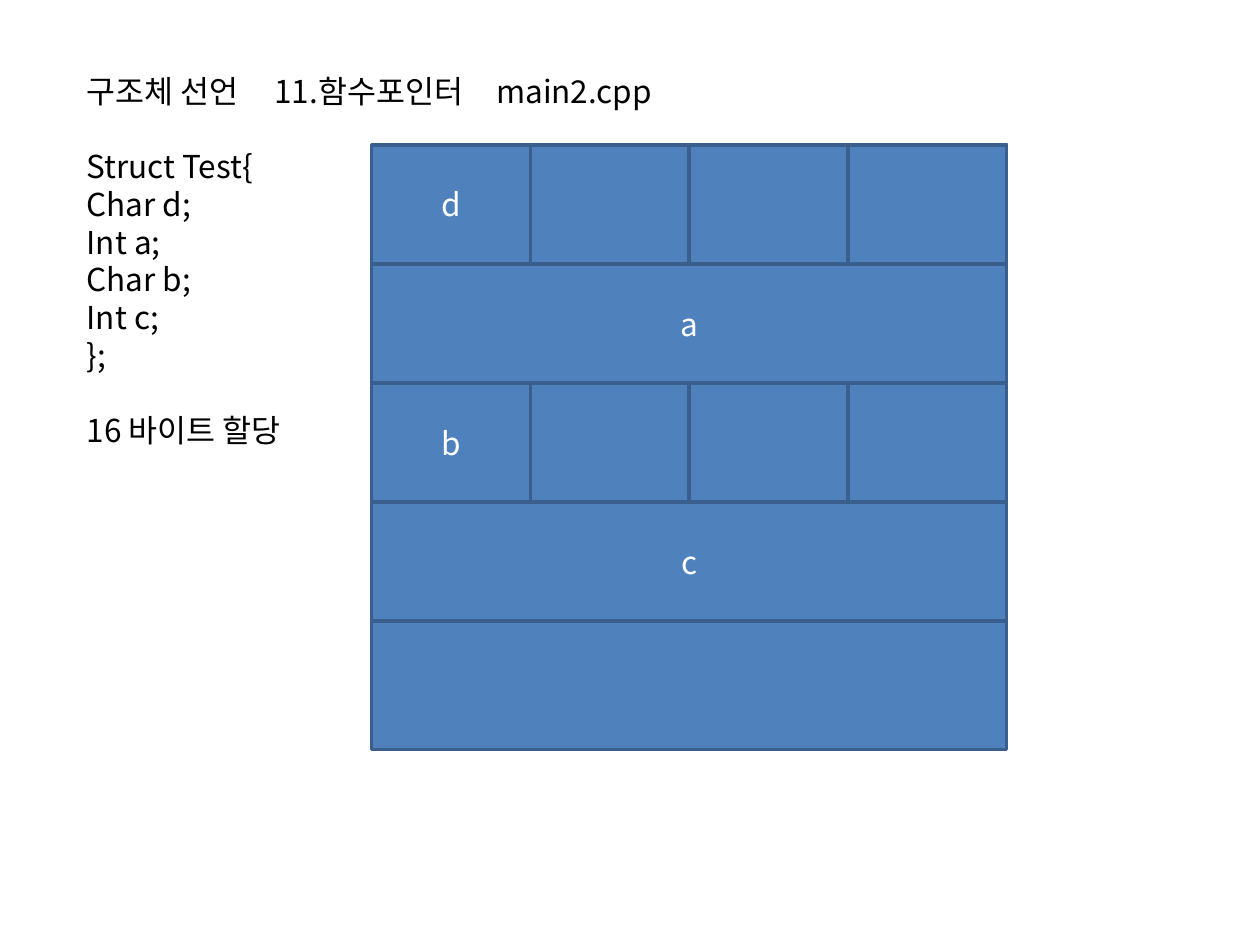
from lxml import etree
from pptx import Presentation, util as u
from pptx.dml.color import RGBColor
from pptx.enum import shapes, text
from pptx.oxml.ns import qn

BLUE = RGBColor(0x4F, 0x81, 0xBD)
EDGE = RGBColor(0x3A, 0x5F, 0x8C)
WHITE = RGBColor(0xFF, 0xFF, 0xFF)
BLACK = RGBColor(0, 0, 0)
FONT = "Noto Sans CJK KR"

# Memory grid: one column per byte, one row per four-byte word
LEFT, TOP, COL, ROW = 2.95, 1.15, 1.26, 0.945
BYTES, GRID_H = 4, 4.8
WORDS = [["d", "", "", ""], ["a"], ["b", "", "", ""], ["c"]]

prs = Presentation()
prs.slide_width, prs.slide_height = u.Inches(10), u.Inches(7.5)
s = prs.slides.add_slide(prs.slide_layouts[6])


def format_runs(p, color):
    for r in p.runs:
        r.font.size = u.Pt(18)
        r.font.name = FONT
        r.font.color.rgb = color
        etree.SubElement(r.font._element, qn("a:ea"), typeface=FONT)


def add_block(left, top, width, height, label=""):
    sp = s.shapes.add_shape(shapes.MSO_SHAPE.RECTANGLE, u.Inches(left), u.Inches(top),
                            u.Inches(width), u.Inches(height))
    sp.shadow.inherit = False
    sp.fill.solid()
    sp.fill.fore_color.rgb = BLUE
    sp.line.color.rgb = EDGE
    sp.line.width = u.Pt(2)
    if label:
        tf = sp.text_frame
        tf.text = label
        tf.vertical_anchor = text.MSO_ANCHOR.MIDDLE
        tf.paragraphs[0].alignment = text.PP_ALIGN.CENTER
        format_runs(tf.paragraphs[0], WHITE)


# Whole memory area, behind the words
add_block(LEFT, TOP, BYTES * COL, GRID_H)

# Heading, struct declaration and size
LINES = ["구조체 선언\t11.함수포인터\tmain2.cpp", "Struct Test{", "Char d;", "Int a;",
         "Char b;", "Int c;", "};", "16 바이트 할당"]
SECTION_STARTS = (1, 7)
TAB_STOPS = (1.49, 3.25)

box = s.shapes.add_textbox(u.Inches(0.59), u.Inches(0.52), u.Inches(6.93), u.Inches(3.13))
tf = box.text_frame
tf.word_wrap = True
tf.text = "\n".join(LINES)
for i, p in enumerate(tf.paragraphs):
    format_runs(p, BLACK)
    if i in SECTION_STARTS:
        p.space_before = u.Pt(21.5)
tabs = etree.SubElement(tf.paragraphs[0]._p.get_or_add_pPr(), qn("a:tabLst"))
for stop in TAB_STOPS:
    etree.SubElement(tabs, qn("a:tab"), pos=str(u.Inches(stop)), algn="l")

# Words of memory, split into bytes where a char is stored
for row, cells in enumerate(WORDS):
    width = BYTES * COL / len(cells)
    for col, label in enumerate(cells):
        add_block(LEFT + col * width, TOP + row * ROW, width, ROW, label)

prs.save("out.pptx")
